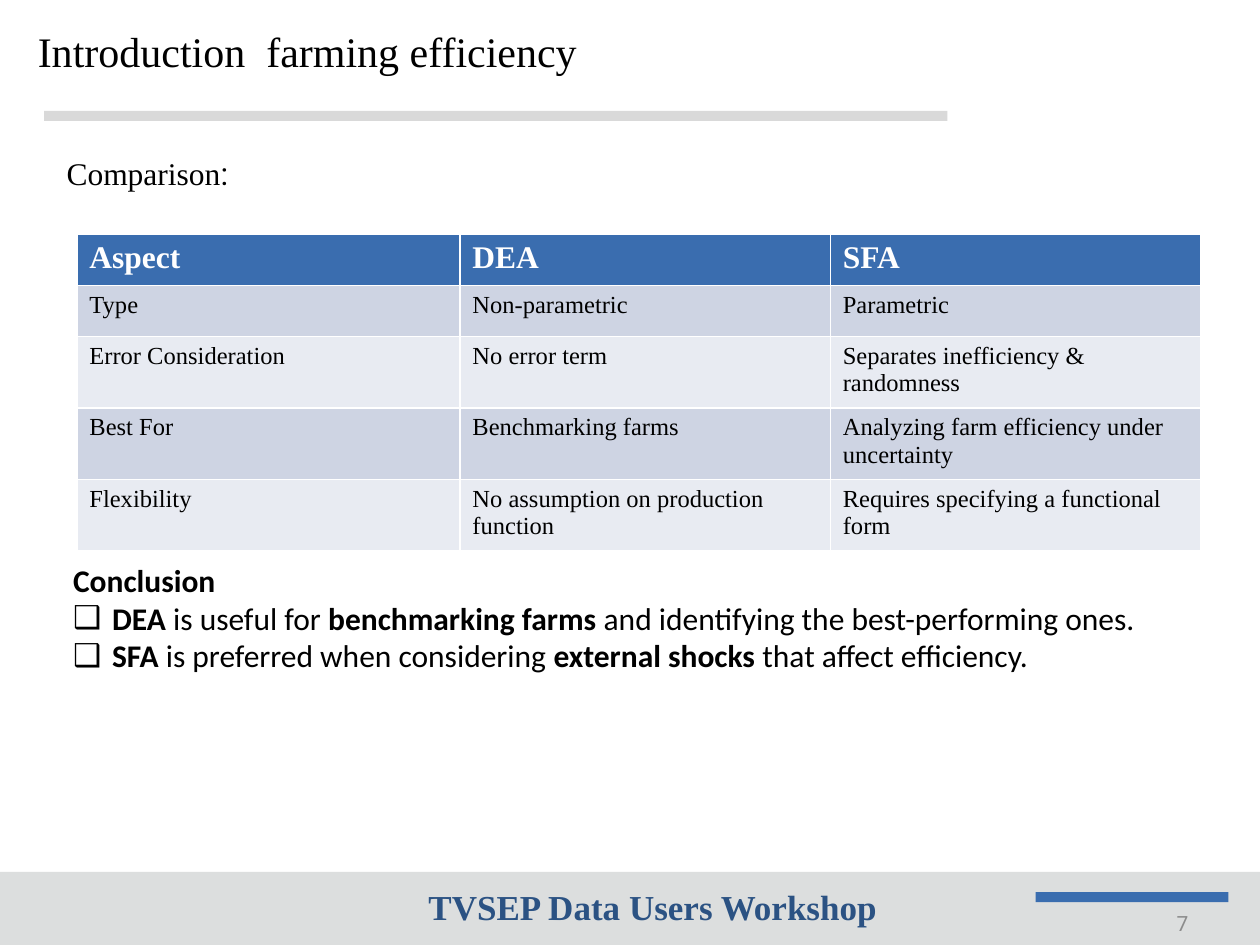
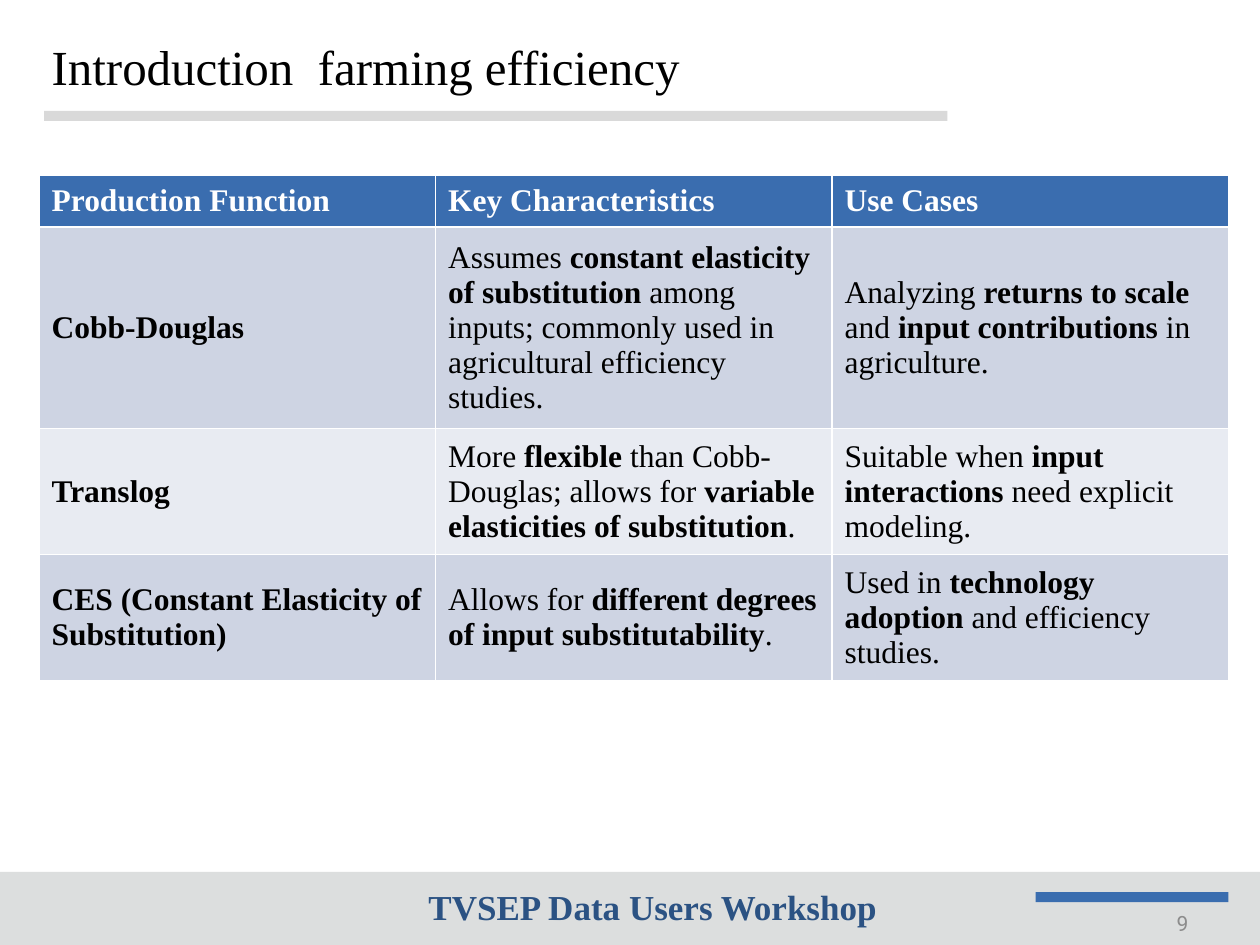
from dataclasses import dataclass

from lxml import etree
from pptx import Presentation
from pptx import util as u
from pptx.dml.color import RGBColor
from pptx.enum import shapes, text
from pptx.oxml.ns import qn


@dataclass(frozen=True)
class Theme:
    serif: str = "Times New Roman"
    sans: str = "Calibri"
    number_font: str = "Roboto"
    ink: str = "000000"
    white: str = "FFFFFF"
    rule: str = "D9D9D9"
    band: str = "DCDEDE"
    accent: str = "3A6DAF"
    footer_ink: str = "2B5283"
    number_ink: str = "8C8C8C"
    stripes: tuple = ("CED4E3", "E8EBF2")
    body: int = 18
    small: int = 14
    footer: int = 20
    number: int = 12


class Deck:
    COLUMNS, ROWS = 100, 75
    TITLE_AND_BODY, TITLE_ONLY = 1, 5

    def __init__(self, theme):
        self.theme = theme
        self.prs = Presentation()
        self.prs.slide_width, self.prs.slide_height = u.Inches(10), u.Inches(7.5)
        self.slide = None

    def across(self, columns):
        return round(self.prs.slide_width * columns / self.COLUMNS)

    def down(self, rows):
        return round(self.prs.slide_height * rows / self.ROWS)

    def box(self, left, top, width, height):
        return self.across(left), self.down(top), self.across(width), self.down(height)

    def move(self, holder, area):
        holder.left, holder.top, holder.width, holder.height = self.box(*area)

    def run(self, paragraph, words, size, font, color, bold=False):
        run = paragraph.add_run()
        run.text = words
        run.font.size, run.font.name, run.font.bold = u.Pt(size), font, bold
        run.font.color.rgb = RGBColor.from_string(color)

    def marked(self, paragraph, words, size, font, color):
        for index, part in enumerate(words.split("**")):
            if part:
                self.run(paragraph, part, size, font, color, index % 2 == 1)

    def new_slide(self, layout, title, area, size, number):
        theme = self.theme
        self.slide = self.prs.slides.add_slide(self.prs.slide_layouts[layout])
        self.bar((3.5, 8.8, 71.7, 0.8), theme.rule)
        self.bar((0, 69.2, 100, 5.8), theme.band)
        self.bar((82.2, 70.8, 15.3, 0.8), theme.accent)
        footer = self.label((6.4, 69.8, 90.8, 4.2), text.PP_ALIGN.CENTER)
        self.run(footer, "TVSEP Data Users Workshop", theme.footer, theme.serif,
                 theme.footer_ink, True)
        page = self.label((72, 71.3, 23.3, 4), text.PP_ALIGN.RIGHT, text.MSO_ANCHOR.MIDDLE)
        self.run(page, str(number), theme.number, theme.number_font, theme.number_ink)
        heading = self.slide.shapes.title
        self.move(heading, area)
        heading.text_frame.auto_size = text.MSO_AUTO_SIZE.NONE
        heading.text_frame.vertical_anchor = text.MSO_ANCHOR.MIDDLE
        line = heading.text_frame.paragraphs[0]
        line.alignment = text.PP_ALIGN.LEFT
        self.run(line, title, size, theme.serif, theme.ink)

    def bar(self, area, color):
        bar = self.slide.shapes.add_shape(shapes.MSO_SHAPE.RECTANGLE, *self.box(*area))
        bar.shadow.inherit = False
        bar.fill.solid()
        bar.fill.fore_color.rgb = RGBColor.from_string(color)
        bar.line.fill.background()

    def label(self, area, align=text.PP_ALIGN.LEFT, anchor=text.MSO_ANCHOR.TOP, wrap=True):
        frame = self.slide.shapes.add_textbox(*self.box(*area)).text_frame
        frame.word_wrap, frame.vertical_anchor = wrap, anchor
        frame.paragraphs[0].alignment = align
        return frame.paragraphs[0]

    def bullets(self, area, heading, points, indent=3.1):
        theme = self.theme
        body = self.slide.placeholders[1]
        self.move(body, area)
        frame = body.text_frame
        frame.auto_size = text.MSO_AUTO_SIZE.NONE
        for index, words in enumerate([heading, *points]):
            line = frame.paragraphs[0] if index == 0 else frame.add_paragraph()
            line.space_before = u.Pt(0)
            hang = self.across(indent) if index else 0
            properties = line._p.get_or_add_pPr()
            properties.set("marL", str(hang))
            properties.set("indent", str(-hang))
            if index:
                etree.SubElement(properties, qn("a:buChar")).set("char", "❑")
            else:
                etree.SubElement(properties, qn("a:buNone"))
            self.marked(line, words, theme.body, theme.sans, theme.ink)

    def table(self, left, top, widths, heights, rows, size, anchor):
        theme = self.theme
        area = self.box(left, top, sum(widths), sum(heights))
        grid = self.slide.shapes.add_table(len(rows), len(widths), *area).table
        for column, width in zip(grid.columns, widths):
            column.width = self.across(width)
        for index, (row, height, entries) in enumerate(zip(grid.rows, heights, rows)):
            row.height = self.down(height)
            fill = theme.stripes[(index - 1) % 2] if index else theme.accent
            for cell, words in zip(row.cells, entries):
                cell.fill.solid()
                cell.fill.fore_color.rgb = RGBColor.from_string(fill)
                cell.vertical_anchor = anchor
                line = cell.text_frame.paragraphs[0]
                if index:
                    self.marked(line, words, size, theme.serif, theme.ink)
                else:
                    self.run(line, words, theme.body, theme.serif, theme.white, True)


TOPIC = "Introduction  farming efficiency"

METHODS = [
    ("Aspect", "DEA", "SFA"),
    ("Type", "Non-parametric", "Parametric"),
    ("Error Consideration", "No error term", "Separates inefficiency & randomness"),
    ("Best For", "Benchmarking farms", "Analyzing farm efficiency under uncertainty"),
    ("Flexibility", "No assumption on production function",
     "Requires specifying a functional form"),
]

CONCLUSIONS = [
    "**DEA** is useful for **benchmarking farms** and identifying the best-performing ones.",
    "**SFA** is preferred when considering **external shocks** that affect efficiency.",
]

FUNCTIONS = [
    ("Production Function", "Key Characteristics", "Use Cases"),
    ("**Cobb-Douglas**",
     "Assumes **constant elasticity of substitution** among inputs; "
     "commonly used in agricultural efficiency studies.",
     "Analyzing **returns to scale** and **input contributions** in agriculture."),
    ("**Translog**",
     "More **flexible** than Cobb-Douglas; allows for "
     "**variable elasticities of substitution**.",
     "Suitable when **input interactions** need explicit modeling."),
    ("**CES (Constant Elasticity of Substitution)**",
     "Allows for **different degrees of input substitutability**.",
     "Used in **technology adoption** and efficiency studies."),
]


def comparison_slide(deck):
    theme = deck.theme
    deck.new_slide(deck.TITLE_AND_BODY, TOPIC, (2, 1.3, 73.2, 5.4), 24, 7)
    comparison = deck.label((4.3, 11.7, 15.1, 4), wrap=False)
    deck.run(comparison, "Comparison", theme.body, theme.serif, theme.ink)
    deck.run(comparison, ":", theme.body, theme.number_font, theme.ink)
    deck.table(6.1, 18.6, [30.4, 29.4, 29.4], [4.05] * 2 + [5.3] * 3, METHODS,
               theme.small, text.MSO_ANCHOR.TOP)
    deck.bullets((4.8, 44, 90.6, 10.1), "**Conclusion**", CONCLUSIONS)


def functions_slide(deck):
    deck.new_slide(deck.TITLE_ONLY, TOPIC, (3.1, 2.5, 73.2, 5.4), 28, 9)
    deck.table(3.1, 13.9, [31.47] * 3, [4.1, 16, 10, 10], FUNCTIONS,
               deck.theme.body, text.MSO_ANCHOR.MIDDLE)


def main():
    deck = Deck(Theme())
    comparison_slide(deck)
    functions_slide(deck)
    deck.prs.save("out.pptx")


if __name__ == "__main__":
    main()
